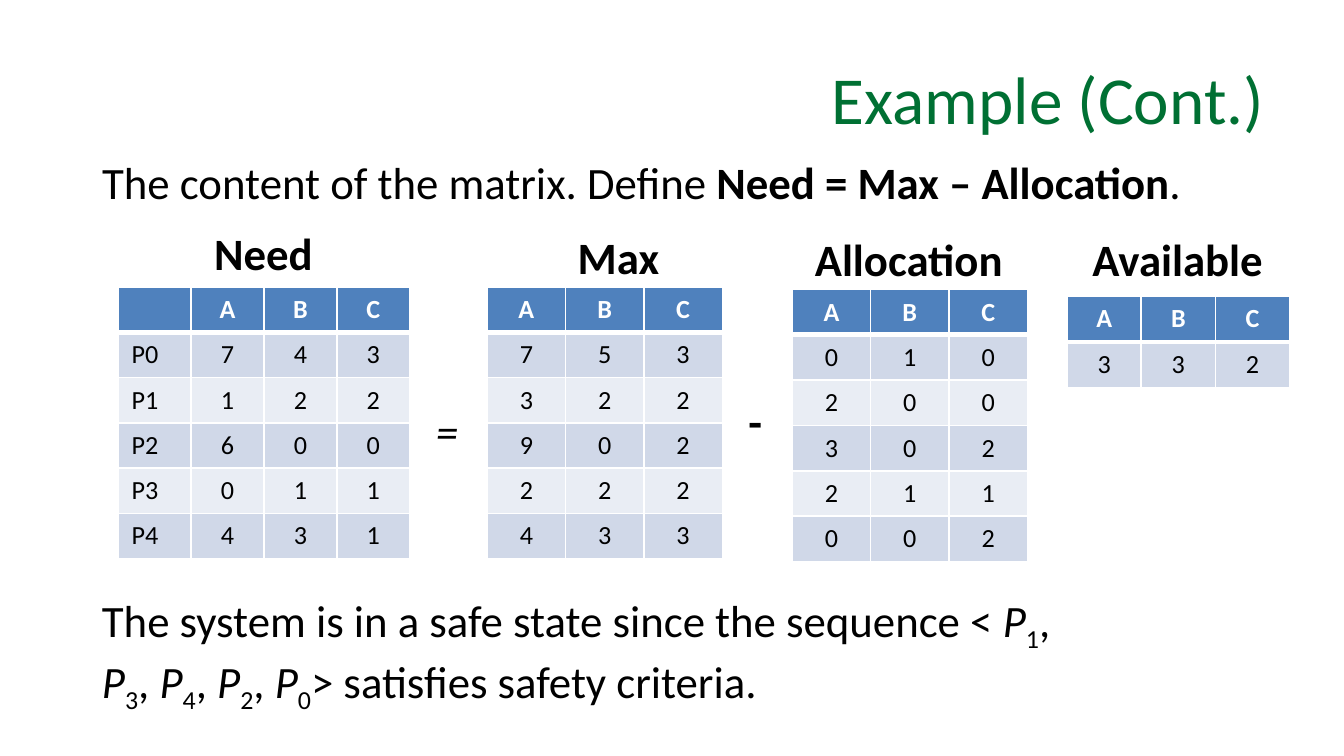
from dataclasses import dataclass

import pptx
import pptx.dml.color
import pptx.enum.text
import pptx.oxml
import pptx.oxml.ns
import pptx.util

ALIGN = pptx.enum.text.PP_ALIGN
ANCHOR = pptx.enum.text.MSO_ANCHOR
FIT = pptx.enum.text.MSO_AUTO_SIZE
SCALE = 4572  # EMU in one px, 200 px to the inch


@dataclass(frozen=True)
class Theme:
    font: str = "Calibri"
    green: str = "007033"
    ink: str = "000000"
    white: str = "FFFFFF"
    head: str = "4F81BD"
    bands: tuple[str, str] = ("D0D8E8", "E9EDF4")
    title: int = 36
    body: int = 24
    cell: int = 14


@dataclass(frozen=True)
class Run:
    text: str
    bold: bool = False
    slant: bool = False
    sub: bool = False


@dataclass(frozen=True)
class Label:
    run: Run
    left: int
    top: int
    width: int


@dataclass(frozen=True)
class Matrix:
    left: int
    top: int
    width: int
    height: int
    step: int  # least row height
    rows: tuple[str, ...]  # one letter per value
    names: bool = False


THEME = Theme()


def px(num: int) -> pptx.util.Emu:
    return pptx.util.Emu(num * SCALE)


def place(shape, left: int, top: int, width: int, height: int) -> None:
    shape.left, shape.top = px(left), px(top)
    shape.width, shape.height = px(width), px(height)


def write(para, runs: list[Run], size: int, color: str = THEME.ink) -> None:
    for item in runs:
        run = para.add_run()
        run.text = item.text
        font = run.font
        font.name, font.size = THEME.font, pptx.util.Pt(size)
        font.bold, font.italic = item.bold, item.slant
        font.color.rgb = pptx.dml.color.RGBColor.from_string(color)
        if item.sub:
            run._r.get_or_add_rPr().set("baseline", "-25000")


def add_text(slide, runs: list[Run], left: int, top: int, width: int,
             height: int, wrap: bool) -> None:
    box = slide.shapes.add_textbox(px(left), px(top), px(width), px(height))
    frame = box.text_frame
    frame.word_wrap = wrap
    frame.auto_size = FIT.SHAPE_TO_FIT_TEXT
    write(frame.paragraphs[0], runs, THEME.body)


def edge(cell, low: int) -> None:
    """Draw white cell borders, with the lower one `low` points wide."""
    props = cell._tc.get_or_add_tcPr()
    for side, wide in (("L", 1), ("R", 1), ("T", 1), ("B", low)):
        props.append(pptx.oxml.parse_xml(
            f'<a:ln{side} {pptx.oxml.ns.nsdecls("a")} w="{wide * 12700}">'
            f'<a:solidFill><a:srgbClr val="{THEME.white}"/></a:solidFill>'
            f'</a:ln{side}>'))


def add_grid(slide, grid: Matrix) -> None:
    rows = [list("ABC")] + [list(row) for row in grid.rows]
    if grid.names:
        rows = [[f"P{i - 1}" if i else ""] + row for i, row in enumerate(rows)]
    wide = len(rows[0])
    spot = (grid.left, grid.top, grid.width, grid.height)
    shape = slide.shapes.add_table(len(rows), wide, *map(px, spot))
    table = shape.table
    for col in table.columns:
        col.width = pptx.util.Emu(grid.width * SCALE // wide)
    for i, row in enumerate(rows):
        table.rows[i].height = px(grid.step)
        top = i == 0
        fill = THEME.head if top else THEME.bands[(i - 1) % 2]
        for j, text in enumerate(row):
            cell = table.cell(i, j)
            edge(cell, 3 if top else 1)
            cell.fill.solid()
            cell.fill.fore_color.rgb = pptx.dml.color.RGBColor.from_string(fill)
            para = cell.text_frame.paragraphs[0]
            para.alignment = ALIGN.LEFT if grid.names and j == 0 else ALIGN.CENTER
            if text:
                write(para, [Run(text, bold=top)], THEME.cell,
                      THEME.white if top else THEME.ink)
            else:
                para.font.size = pptx.util.Pt(THEME.cell)
    place(shape, *spot)


def add_title(slide) -> None:
    title = slide.shapes.title
    place(title, 98, 62, 1803, 168)
    frame = title.text_frame
    frame.auto_size = FIT.NONE
    frame.vertical_anchor = ANCHOR.MIDDLE
    para = frame.paragraphs[0]
    para.alignment = ALIGN.RIGHT
    write(para, [Run("Example (Cont.)")], THEME.title, THEME.green)


def add_intro(slide) -> None:
    body = slide.placeholders[1]
    place(body, 132, 229, 1670, 152)
    frame = body.text_frame
    frame.auto_size = FIT.NONE
    para = frame.paragraphs[0]
    props = para._p.get_or_add_pPr()
    props.set("marL", "0")
    props.set("indent", "0")
    props.append(pptx.oxml.parse_xml(f'<a:buNone {pptx.oxml.ns.nsdecls("a")}/>'))
    para.line_spacing = 0.9
    para.space_before = pptx.util.Pt(0)
    write(para, [Run("The content of the matrix. Define "),
                 Run("Need = Max – Allocation", bold=True), Run(".")], THEME.body)


def order() -> list[Run]:
    """The closing sentence, with the safe order of processes."""
    runs = [Run("The system is in a safe state since the sequence < ")]
    for i, num in enumerate("13420"):
        if i:
            runs.append(Run(", "))
        runs += [Run("P", slant=True), Run(num, sub=True)]
    return runs + [Run("> satisfies safety criteria.")]


GRIDS = [
    Matrix(176, 427, 434, 400, 62, ("743", "122", "600", "011", "431"), names=True),
    Matrix(725, 427, 350, 400, 58, ("753", "322", "902", "222", "433")),
    Matrix(1179, 431, 350, 400, 58, ("010", "200", "302", "211", "002")),
    Matrix(1588, 441, 331, 136, 68, ("332",)),
]

LABELS = [
    Label(Run("Need", bold=True), 299, 326, 188),
    Label(Run("Max", bold=True), 840, 332, 162),
    Label(Run("Allocation", bold=True), 1193, 335, 322),
    Label(Run("Available", bold=True), 1606, 335, 296),
    Label(Run("=", slant=True), 629, 591, 74),
    Label(Run("-", bold=True), 1094, 576, 62),
]


def main() -> None:
    deck = pptx.Presentation()
    deck.slide_width, deck.slide_height = px(2000), px(1125)
    slide = deck.slides.add_slide(deck.slide_layouts[1])

    # Title and opening line
    add_title(slide)
    add_intro(slide)

    # Matrices, their headings and the signs between them
    for grid in GRIDS:
        add_grid(slide, grid)
    for label in LABELS:
        add_text(slide, [label.run], label.left, label.top, label.width, 100, False)

    # Closing sentence
    add_text(slide, order(), 132, 872, 1510, 182, True)
    deck.save("out.pptx")


if __name__ == "__main__":
    main()
